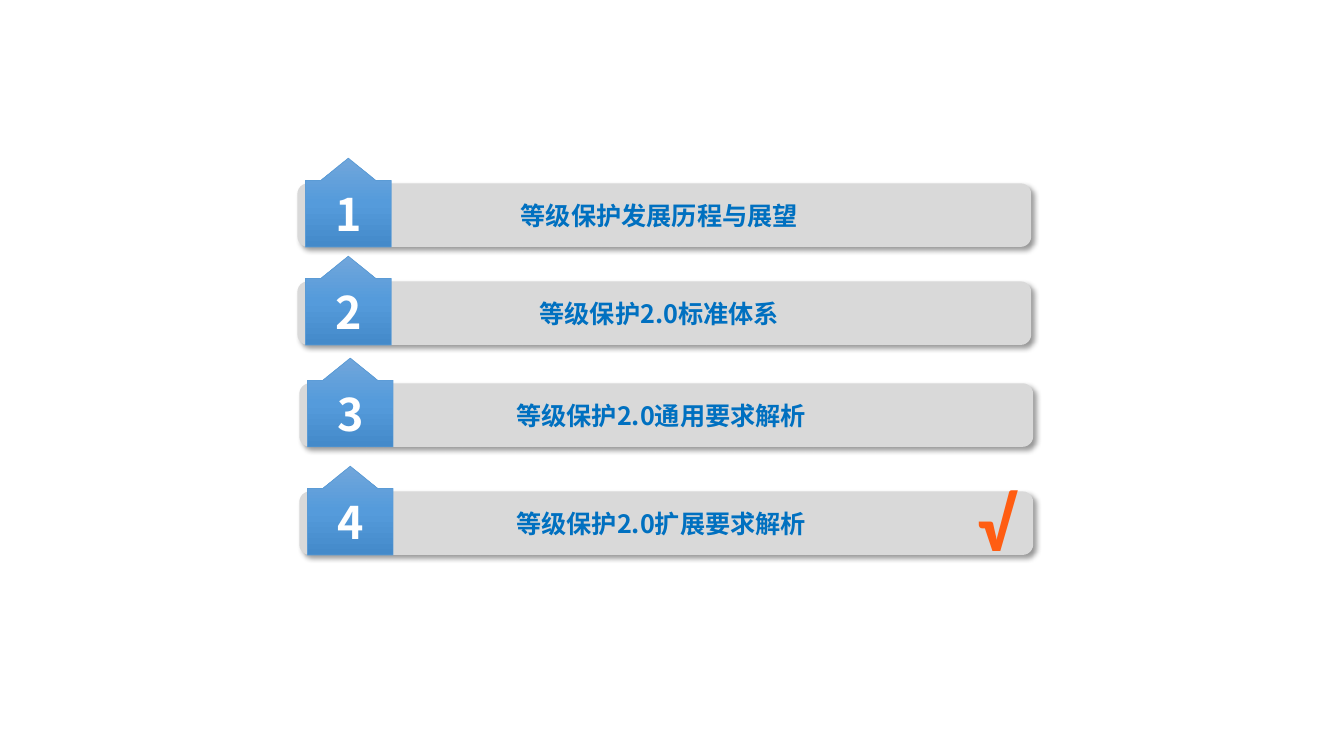
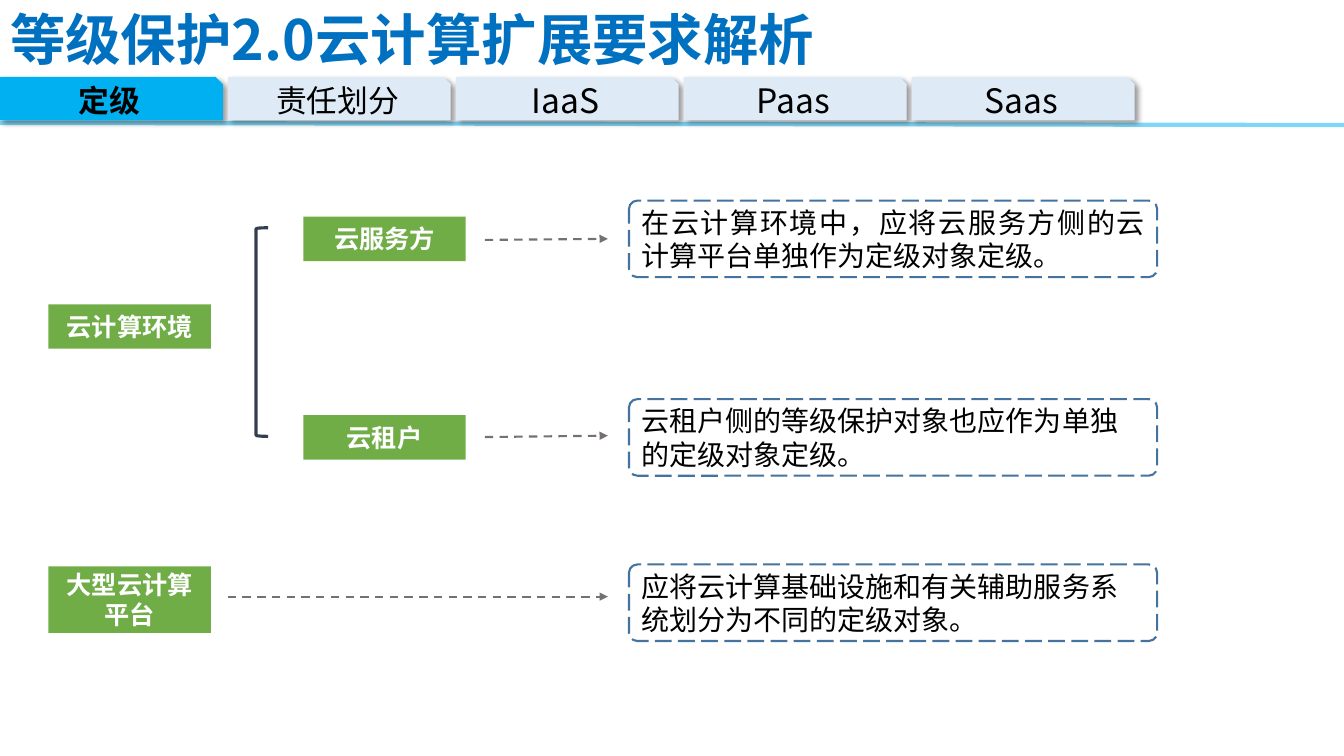
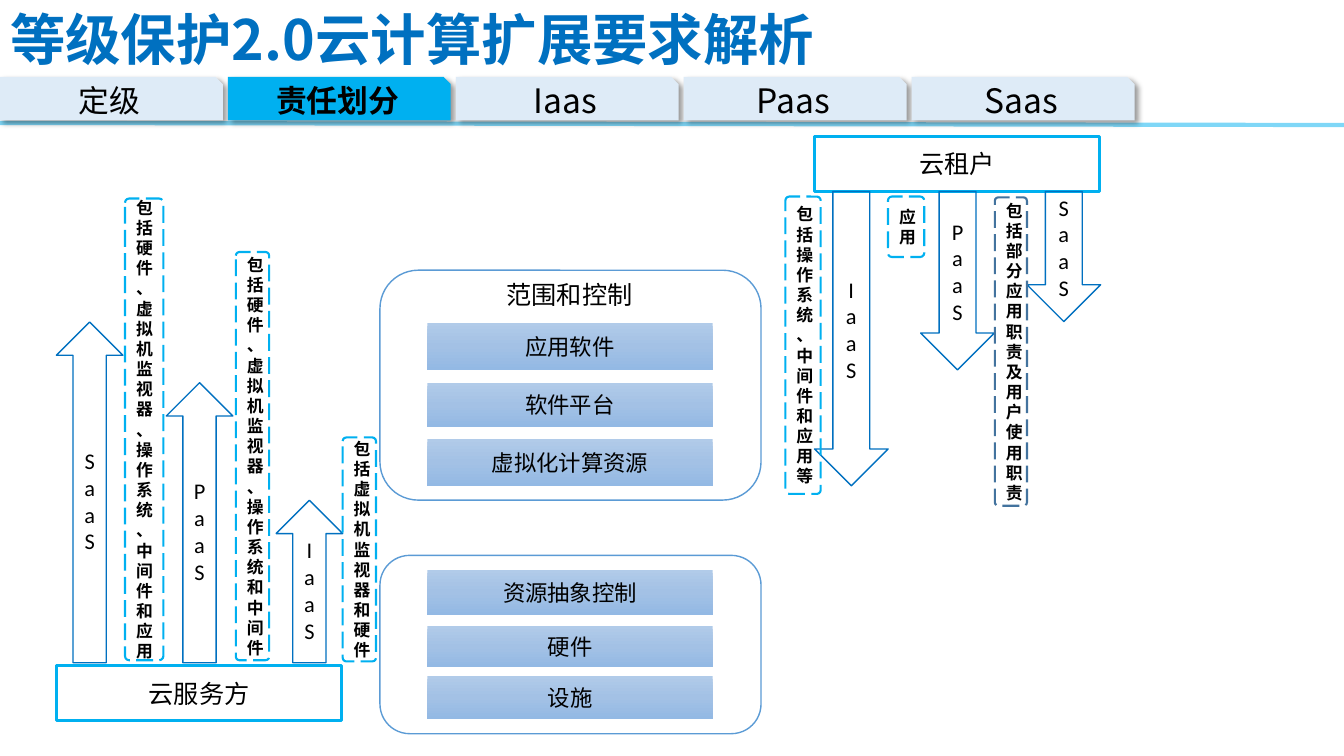
from copy import deepcopy
from dataclasses import dataclass
from typing import NamedTuple, Optional

from pptx import Presentation
from pptx import util as u
from pptx.dml.color import RGBColor
from pptx.enum import dml, shapes, text
from pptx.oxml import ns, xmlchemy

Pt = u.Pt
SHAPE = shapes.MSO_SHAPE
ALIGN = text.PP_ALIGN
ANCHOR = text.MSO_ANCHOR
DASH = dml.MSO_LINE


# Theme
@dataclass(frozen=True)
class Theme:
    cjk: str = "Noto Sans CJK SC"
    latin: str = "Calibri"
    black: str = "000000"
    white: str = "FFFFFF"
    blue: str = "0070C0"
    cyan: str = "00B0F0"
    steel: str = "43739E"
    sky: str = "5B9BD5"
    navy: str = "333F50"
    gray: str = "767171"
    bar: str = "D9D9D9"
    tab: str = "DEEBF7"
    green: str = "70AD47"
    badge: tuple = ((0, "71A6DB"), (50, "559BDB"), (100, "448ACA"))
    layer: tuple = ((0, "B1CBE9"), (50, "A3C1E5"), (100, "93B9E4"))
    tick: tuple = ((0, "FFAC8E"), (75, "FF5D12"), (100, "D45600"))
    title_size: float = 39.6
    tick_size: float = 54
    number_size: float = 32
    tab_latin_size: float = 24
    tab_size: float = 22
    body_size: float = 20
    label_size: float = 18
    layer_size: float = 16
    note_size: float = 12
    line_height: float = 1.2


T = Theme()


class Box(NamedTuple):
    left: float
    top: float
    width: float
    height: float


class Style(NamedTuple):
    size: float
    color: str | tuple = T.black
    bold: bool = False
    font: str = T.cjk
    align: ALIGN = ALIGN.CENTER


class Line(NamedTuple):
    color: str
    width: float
    dash: Optional[DASH] = None


class AgendaItem(NamedTuple):
    left: float
    top: float
    label: str


class Arrow(NamedTuple):
    box: Box
    word: str


class Note(NamedTuple):
    box: Box
    label: str
    color: str = T.cyan


# Formatting helpers
def child(parent, tag: str, **attrs):
    el = xmlchemy.OxmlElement(tag)
    for key, value in attrs.items():
        el.set(key, str(value))
    parent.append(el)
    return el


def set_gradient(fill, owner, stops: tuple) -> None:
    fill.gradient()
    fill.gradient_angle = 270
    stop_list = owner.find(ns.qn("a:gradFill")).find(ns.qn("a:gsLst"))
    stop_list.insert(1, deepcopy(stop_list[0]))
    for stop, (position, color) in zip(fill.gradient_stops, stops):
        stop.position = position / 100
        stop.color.rgb = RGBColor.from_string(color)


def set_line(line, look: Line) -> None:
    line.color.rgb = RGBColor.from_string(look.color)
    line.width = Pt(look.width)
    if look.dash is not None:
        line.dash_style = look.dash


def add_shadow(sp) -> None:
    effects = sp.element.spPr.find(ns.qn("a:effectLst"))
    shadow = child(effects, "a:outerShdw", blurRad=Pt(4), dist=Pt(3),
                   dir=45 * 60000, algn="tl", rotWithShape=0)
    child(child(shadow, "a:srgbClr", val=T.black), "a:alpha", val=40000)


def write(tf, lines: list[str], style: Style, anchor: ANCHOR = ANCHOR.MIDDLE,
          wrap: bool = True) -> None:
    tf.word_wrap = wrap
    tf.vertical_anchor = anchor
    for i, line in enumerate(lines):
        p = tf.add_paragraph() if i else tf.paragraphs[0]
        p.alignment = style.align
        if style.font == T.cjk:
            p.line_spacing = Pt(style.size * T.line_height)
        r = p.add_run()
        r.text = line
        r.font.size = Pt(style.size)
        r.font.bold = style.bold
        r_pr = r._r.get_or_add_rPr()
        if isinstance(style.color, tuple):
            set_gradient(r.font.fill, r_pr, style.color)
        else:
            r.font.color.rgb = RGBColor.from_string(style.color)
        r.font.name = style.font
        child(r_pr, "a:ea", typeface=style.font)


def add_box(s, kind: SHAPE, box: Box, fill: str | tuple | None = None,
            line: Optional[Line] = None, shadow: bool = False,
            adjust: tuple = ()):
    sp = s.shapes.add_shape(kind, *map(Pt, box))
    sp.shadow.inherit = False
    for i, value in enumerate(adjust):
        sp.adjustments[i] = value
    if fill is None:
        sp.fill.background()
    elif isinstance(fill, tuple):
        set_gradient(sp.fill, sp.element.spPr, fill)
    else:
        sp.fill.solid()
        sp.fill.fore_color.rgb = RGBColor.from_string(fill)
    if line:
        set_line(sp.line, line)
    else:
        sp.line.fill.background()
    if shadow:
        add_shadow(sp)
    return sp


def add_label(s, box: Box, label: str, style: Style, wrap: bool = True) -> None:
    sp = s.shapes.add_textbox(*map(Pt, box))
    write(sp.text_frame, [label], style, ANCHOR.TOP, wrap)


def add_line(s, start: tuple, end: tuple, look: Line):
    sp = s.shapes.add_connector(shapes.MSO_CONNECTOR.STRAIGHT,
                                *map(Pt, start + end))
    set_line(sp.line, look)
    child(sp.element.spPr, "a:effectLst")
    return sp


def add_dashed_arrow(s, start: tuple, end: tuple) -> None:
    sp = add_line(s, start, end, Line(T.gray, 1.5, DASH.DASH))
    child(sp.line._get_or_add_ln(), "a:tailEnd", type="triangle")


def add_note(s, box: Box, label: str, color: str, style: Style) -> None:
    sp = add_box(s, SHAPE.ROUNDED_RECTANGLE, box,
                 line=Line(color, 1.5, DASH.LONG_DASH), adjust=(0.11,))
    write(sp.text_frame, [label], style)


# Shared title and tab band
def add_topic_slide(prs, tabs: list[str], active: int):
    s = prs.slides.add_slide(prs.slide_layouts[5])
    rule = add_line(s, (0, 87.8), (960, 89.3), Line(T.cyan, 3))
    color = rule.line._get_or_add_ln().find(ns.qn("a:solidFill"))[0]
    child(color, "a:alpha", val=50000)

    title = s.shapes.title
    title.left, title.top, title.width, title.height = map(
        Pt, Box(0, 0.7, 620, 54))
    write(title.text_frame, ["等级保护2.0云计算扩展要求解析"],
          Style(T.title_size, T.blue, True, align=ALIGN.JUSTIFY))

    for i, label in enumerate(tabs):
        size = T.tab_latin_size if label.isascii() else T.tab_size
        sp = add_box(s, SHAPE.SNIP_1_RECTANGLE, Box(i * 162.8, 55, 159.2, 31),
                     T.cyan if i == active else T.tab, shadow=True)
        write(sp.text_frame, [label], Style(size, bold=i == active))
    return s


# Slide 1: agenda
def build_agenda(prs) -> None:
    s = prs.slides.add_slide(prs.slide_layouts[6])
    items = [
        AgendaItem(212.4, 131, "等级保护发展历程与展望"),
        AgendaItem(212.4, 201, "等级保护2.0标准体系"),
        AgendaItem(213.8, 273.8, "等级保护2.0通用要求解析"),
        AgendaItem(213.8, 351, "等级保护2.0扩展要求解析"),
    ]
    for number, (left, top, label) in enumerate(items, 1):
        add_box(s, SHAPE.ROUNDED_RECTANGLE, Box(left, top, 524.2, 45.4),
                T.bar, shadow=True)
        badge = add_box(s, SHAPE.UP_ARROW_CALLOUT,
                        Box(left + 5.8, top - 18, 61.2, 63.4), T.badge,
                        Line(T.sky, 0.5), adjust=(1.61, 0.32, 0.26, 0.81))
        write(badge.text_frame, [str(number)],
              Style(T.number_size, T.white, True))
        add_label(s, Box(left + 68.4, top + 8.6, 380.2, 28.8), label,
                  Style(T.label_size, T.blue, True))
    add_label(s, Box(683.3, 336.2, 56.2, 72.7), "√",
              Style(T.tick_size, T.tick, True, T.latin))


# Slide 2: grading
def build_grading(prs) -> None:
    s = add_topic_slide(prs, ["定级", "责任划分", "IaaS", "Paas", "Saas"], 0)
    subjects = [
        (Box(216.7, 154.8, 116, 31.7), "云服务方"),
        (Box(216.7, 296.6, 116, 31.7), "云租户"),
        (Box(34.6, 217.4, 116, 31.7), "云计算环境"),
        (Box(34.6, 404.6, 116, 47.5), "大型云计算平台"),
    ]
    for box, label in subjects:
        sp = add_box(s, SHAPE.RECTANGLE, box, T.green)
        write(sp.text_frame, [label], Style(T.label_size, T.white, True))

    add_box(s, SHAPE.LEFT_BRACKET, Box(182.9, 162.7, 8.6, 149),
            line=Line(T.navy, 2.25))

    rules = [
        (143.3, ALIGN.JUSTIFY,
         "在云计算环境中，应将云服务方侧的云计算平台单独作为定级对象定级。"),
        (285.1, ALIGN.LEFT,
         "云租户侧的等级保护对象也应作为单独的定级对象定级。"),
        (403.2, ALIGN.LEFT,
         "应将云计算基础设施和有关辅助服务系统划分为不同的定级对象。"),
    ]
    for top, align, label in rules:
        add_note(s, Box(449.3, top, 377.3, 54.7), label, T.steel,
                 Style(T.body_size, align=align))

    for x, start_y, end_y in [(346.3, 171.4, 170.6), (346.3, 312.2, 311.2),
                              (162.7, 426.2, 426.2)]:
        add_dashed_arrow(s, (x, start_y), (434.2, end_y))


# Slide 3: shared responsibility
def build_responsibility(prs) -> None:
    s = add_topic_slide(prs, ["定级", "责任划分", "Iaas", "Paas", "Saas"], 1)

    # Stacks of layers
    for top, height in [(193, 164.2), (396.7, 127.4)]:
        add_box(s, SHAPE.FLOWCHART_ALTERNATE_PROCESS,
                Box(271.4, top, 272.2, height), T.white, Line(T.sky, 1))
    layers = [
        (230.4, 34.2, "应用软件"),
        (273.6, 31.3, "软件平台"),
        (313.5, 33.5, "虚拟化计算资源"),
        (406.8, 32.4, "资源抽象控制"),
        (447.2, 29.2, "硬件"),
        (483, 30.5, "设施"),
    ]
    for top, height, label in layers:
        sp = add_box(s, SHAPE.RECTANGLE, Box(305.3, top, 203.8, height),
                     T.layer)
        write(sp.text_frame, [label], Style(T.layer_size))
    add_label(s, Box(354.2, 195.8, 105.1, 28.8), "范围和控制",
              Style(T.label_size), wrap=False)

    # The two parties
    for left, top, label in [(40.3, 475.2, "云服务方"), (581.8, 97.2, "云租户")]:
        sp = add_box(s, SHAPE.RECTANGLE, Box(left, top, 203.8, 39.6),
                     line=Line(T.cyan, 2.25))
        write(sp.text_frame, [label], Style(T.label_size))

    # Service models
    floor, ceiling = 473.4, 136.8
    arrows = {
        SHAPE.UP_ARROW: [
            Arrow(Box(40.3 + i * 78.5, floor - height, 47.5, height), word)
            for i, (height, word) in enumerate(
                [(243.4, "SaaS"), (200, "PaaS"), (116, "IaaS")])],
        SHAPE.DOWN_ARROW: [
            Arrow(Box(581.8 + i * 75.9, ceiling, 52.6, height), word)
            for i, (height, word) in enumerate(
                [(210.2, "IaaS"), (127.4, "PaaS"), (92.9, "SaaS")])],
    }
    for kind, group in arrows.items():
        for box, word in group:
            sp = add_box(s, kind, box, line=Line(T.blue, 1))
            write(sp.text_frame, list(word),
                  Style(T.layer_size, font=T.latin))

    # Duties beside the arrows
    notes = [
        Note(Box(244.8, 312.5, 23.8, 160), "包括虚拟机监视器和硬件"),
        Note(Box(168.5, 180, 23.8, 291.6),
             "包括硬件、虚拟机监视器、操作系统和中间件"),
        Note(Box(89.3, 141.8, 27.4, 329.8),
             "包括硬件、虚拟机监视器、操作系统、中间件和应用"),
        Note(Box(561, 140.4, 25.2, 212.4), "包括操作系统、中间件和应用等"),
        Note(Box(634.3, 140.4, 25.9, 43.2), "应用"),
        Note(Box(710.6, 141, 23, 220.3), "包括部分应用职责及用户使用职责",
             T.steel),
    ]
    for box, label, color in notes:
        add_note(s, box, label, color,
                 Style(T.note_size, bold=True, align=ALIGN.JUSTIFY))


def main() -> None:
    prs = Presentation()
    prs.slide_width, prs.slide_height = Pt(960), Pt(540)
    build_agenda(prs)
    build_grading(prs)
    build_responsibility(prs)
    prs.save("out.pptx")


if __name__ == "__main__":
    main()
